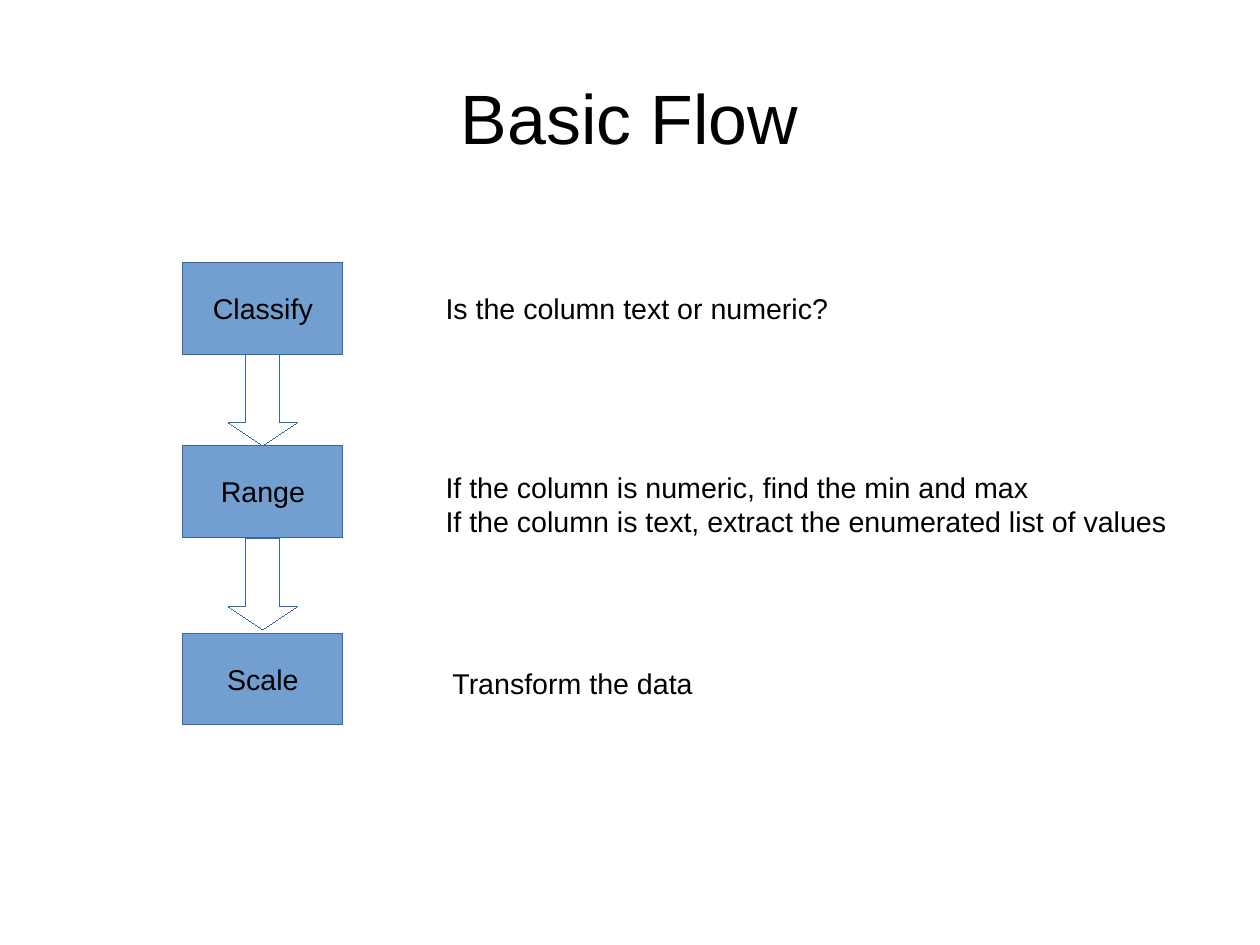
from pptx import Presentation
from pptx.dml.color import RGBColor
from pptx.enum.shapes import MSO_SHAPE
from pptx.enum.text import MSO_ANCHOR, PP_ALIGN
from pptx.util import Cm, Inches, Pt

RECTANGLE, DOWN_ARROW = MSO_SHAPE.RECTANGLE, MSO_SHAPE.DOWN_ARROW
TOP, MIDDLE = MSO_ANCHOR.TOP, MSO_ANCHOR.MIDDLE
LEFT, CENTER = PP_ALIGN.LEFT, PP_ALIGN.CENTER

TITLE = "Basic Flow"
# step name, step top, note left, note top, note width, note lines
STEPS = [
    ("Classify", 2.3, 3.8, 2.5, 5.1, ["Is the column text or numeric?"]),
    ("Range", 3.9, 3.8, 4.06, 6.7, [
        "If the column is numeric, find the min and max",
        "If the column is text, extract the enumerated list of values",
    ]),
    ("Scale", 5.54, 3.86, 5.78, 5.1, ["Transform the data"]),
]
ARROW_TOPS = (3.1, 4.71)

THEME = {
    "font": "Arial", "title": 44, "body": 18, "hairline": 0.01,
    "text": "000000", "step": "729FCF", "arrow": "FFFFFF", "line": "3465AF",
}
SLIDE_SIZE_CM = (28, 21)
TITLE_BOX = (0.55, 0.33, 9.92, 1.38)
STEP_LEFT, STEP_WIDTH, STEP_HEIGHT = 1.6, 1.4, 0.8
ARROW_WIDTH, ARROW_HEIGHT = 0.6, 0.8
ARROW_LEFT = STEP_LEFT + (STEP_WIDTH - ARROW_WIDTH) / 2
ARROW_ADJUSTMENTS = (0.5, 1 / 3)
LINE_HEIGHT, INSET_X, INSET_Y = 0.28, 0.1, 0.05


def color(name):
    return RGBColor.from_string(THEME[name])


def write(shape, lines, size, align, anchor, wrap=True, insets=(INSET_X, INSET_Y)):
    frame = shape.text_frame
    x, y = (Inches(inset) for inset in insets)
    settings = {
        "word_wrap": wrap, "vertical_anchor": anchor,
        "margin_left": x, "margin_right": x, "margin_top": y, "margin_bottom": y,
    }
    for name, value in settings.items():
        setattr(frame, name, value)
    for index, line in enumerate(lines):
        paragraph = frame.add_paragraph() if index else frame.paragraphs[0]
        paragraph.alignment = align
        run = paragraph.add_run()
        run.text = line
        for name, value in {"name": THEME["font"], "size": Pt(THEME[size])}.items():
            setattr(run.font, name, value)
        run.font.color.rgb = color("text")


def add_outlined(slide, kind, box, fill):
    shape = slide.shapes.add_shape(kind, *map(Inches, box))
    shape.shadow.inherit = False
    shape.fill.solid()
    shape.fill.fore_color.rgb = color(fill)
    shape.line.color.rgb = color("line")
    shape.line.width = Pt(THEME["hairline"])
    return shape


def add_text(slide, box, *text, **options):
    write(slide.shapes.add_textbox(*map(Inches, box)), *text, **options)


def main():
    presentation = Presentation()
    presentation.slide_width, presentation.slide_height = map(Cm, SLIDE_SIZE_CM)
    slide = presentation.slides.add_slide(presentation.slide_layouts[6])

    add_text(slide, TITLE_BOX, [TITLE], "title", CENTER, MIDDLE, insets=(0, 0))
    for name, top, note_left, note_top, note_width, lines in STEPS:
        step_box = (STEP_LEFT, top, STEP_WIDTH, STEP_HEIGHT)
        step = add_outlined(slide, RECTANGLE, step_box, "step")
        write(step, [name], "body", CENTER, MIDDLE, wrap=False)
        note_height = len(lines) * LINE_HEIGHT + 2 * INSET_Y
        note_box = (note_left, note_top, note_width, note_height)
        add_text(slide, note_box, lines, "body", LEFT, TOP)

    for top in ARROW_TOPS:
        arrow_box = (ARROW_LEFT, top, ARROW_WIDTH, ARROW_HEIGHT)
        arrow = add_outlined(slide, DOWN_ARROW, arrow_box, "arrow")
        for index, value in enumerate(ARROW_ADJUSTMENTS):
            arrow.adjustments[index] = value

    presentation.save("out.pptx")


if __name__ == "__main__":
    main()
